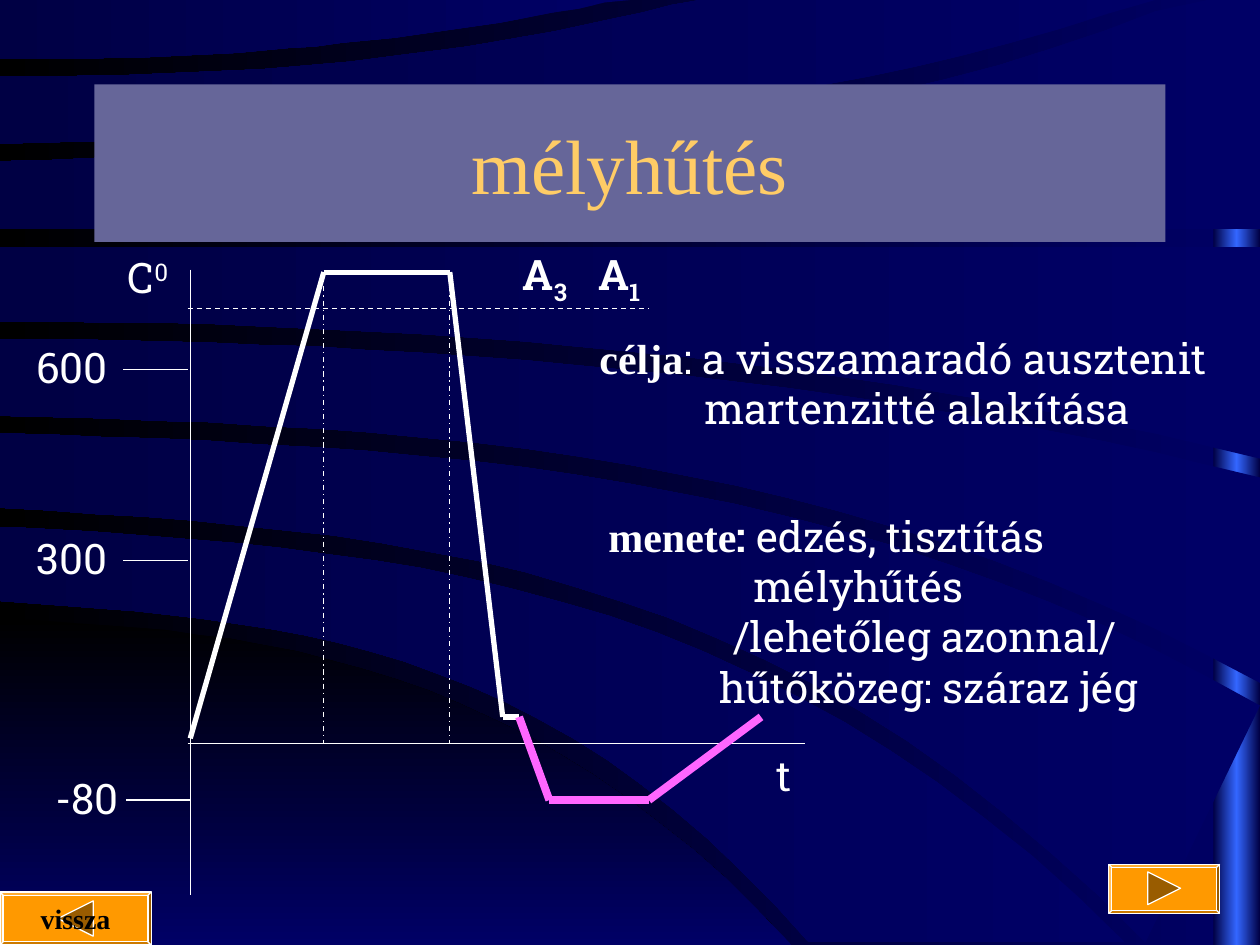
from copy import deepcopy
from dataclasses import dataclass, field

from lxml.etree import SubElement
from pptx import Presentation
from pptx.dml.color import RGBColor
from pptx.enum.dml import MSO_LINE as Dash
from pptx.enum.shapes import MSO_CONNECTOR as Link, MSO_SHAPE as Form
from pptx.enum.text import MSO_ANCHOR as Anchor, PP_ALIGN as Align
from pptx.oxml.ns import qn
from pptx.util import Inches, Pt

NAVY = RGBColor(0x00, 0x00, 0x66)
DEEP = RGBColor(0x00, 0x00, 0x44)
BLACK = RGBColor(0x00, 0x00, 0x00)
AZURE = RGBColor(0x33, 0x66, 0xFF)
SLATE = RGBColor(0x66, 0x66, 0x99)
GOLD = RGBColor(0xFF, 0xCC, 0x66)
WHITE = RGBColor(0xFF, 0xFF, 0xFF)
PINK = RGBColor(0xFF, 0x66, 0xFF)
AMBER = RGBColor(0xFF, 0x99, 0x00)
BROWN = RGBColor(0x99, 0x5C, 0x00)

# The slide is a grid of 1000 columns by 750 rows of square cells.
COLS, ROWS = 1000, 750
CELL = Inches(10) // COLS
STEPS = 24

SLAB = {"name": "Roboto Slab", "size": Pt(24), "bold": False}
STRONG = SLAB | {"bold": True}
TIMES = {"name": "Times New Roman", "size": Pt(24), "bold": True}
HEAD = TIMES | {"size": Pt(44), "bold": False}
SMALL = TIMES | {"size": Pt(16)}

Point = tuple[int, int]
Box = tuple[int, int, int, int]


@dataclass
class Run:
    text: str
    font: dict = field(default_factory=lambda: SLAB)
    color: RGBColor = WHITE
    shift: int = 0  # thousandths of a percent above the baseline


@dataclass
class Line:
    runs: list[Run]
    indent: int = 0


@dataclass
class Note:
    box: Box
    lines: list[Line]
    align: Align = Align.CENTER
    anchor: Anchor = Anchor.MIDDLE
    wrap: bool = False


@dataclass
class Trace:
    points: list[Point]
    width: float = 0.75
    color: RGBColor = WHITE
    dash: Dash | None = None


@dataclass
class Edge:
    """Cubic curve from column 0 to end, given by four evenly spaced rows."""
    end: int
    rows: tuple[int, ...]

    def trace(self) -> list[Point]:
        a, b, c, d = self.rows
        points = []
        for step in range(STEPS + 1):
            t = 3 * step / STEPS
            row = (a + (b - a) * t + (c - 2 * b + a) * t * (t - 1) / 2
                   + (d - 3 * c + 3 * b - a) * t * (t - 1) * (t - 2) / 6)
            col = self.end * step / STEPS
            points.append((round(col), round(min(max(row, 0), ROWS))))
        return points


def flat(end: int, row: int) -> Edge:
    return Edge(end, (row,) * 4)


BLOB = (Edge(628, (491, 512, 584, 750)), flat(628, ROWS))
BANDS = [
    (Edge(893, (418, 445, 534, 748)), Edge(642, (477, 499, 571, 748))),
    (Edge(COLS, (344, 362, 421, 560)), Edge(909, (403, 431, 523, 748))),
    (Edge(COLS, (269, 280, 314, 379)), Edge(COLS, (330, 347, 406, 542))),
    (flat(COLS, 196), Edge(COLS, (255, 265, 299, 364))),
    (Edge(COLS, (128, 118, 82, -28)), flat(COLS, 182)),
    (Edge(556, (61, 56, 37, -2)), Edge(917, (114, 105, 75, -2))),
    (flat(501, 0), Edge(501, (47, 43, 27, -2))),
]

# Diagram: the time axis, the holding time and the temperature levels.
LEFT, BASE, HOT, COLD, ROOM = 151, 590, 216, 635, 569
START, STOP, DIP, HOLD = 257, 357, 412, 515
TRACES = [
    Trace([(LEFT, 214), (LEFT, 710)]),
    Trace([(149, BASE), (639, BASE)]),
    Trace([(149, 245), (HOLD, 245)], dash=Dash.DASH),
    *[Trace([(98, row), (149, row)]) for row in (293, 445)],
    Trace([(100, COLD), (LEFT, COLD)]),
    *[Trace([(col, HOT), (col, BASE)], dash=Dash.DASH_DOT) for col in (START, STOP)],
    Trace([(LEFT, 586), (START, HOT), (STOP, HOT), (399, ROOM), (DIP, ROOM)], 3),
    Trace([(DIP, ROOM), (436, COLD), (HOLD, COLD), (604, ROOM)], 4.5, PINK),
]

BACK, NEXT = (0, 708, 120, 42), (880, 686, 88, 39)
NOTES = [
    *[Note((col, 192, 57, 56), [Line([Run("A", STRONG), Run(sub, STRONG, shift=-25000)])])
      for col, sub in ((404, "3"), (463, "1"))],
    *[Note((col, row, wide, 50), [Line([Run(text)])]) for col, row, wide, text in (
        (16, 266, 82, "600"), (16, 418, 82, "300"), (32, 608, 74, "-80"), (606, BASE, 32, "t"))],
    Note((85, 195, 65, 50), [Line([Run("C"), Run("0", shift=30000)])]),
    Note((473, 400, 473, 170), [
        Line([Run("menete", TIMES), Run(":", STRONG), Run(" edzés, tisztítás")]),
        Line([Run("mélyhűtés")], 115),
        Line([Run("/lehetőleg azonnal/")], 99),
        Line([Run("hűtőközeg: száraz jég")], 88)], Align.LEFT, Anchor.TOP, True),
    Note((466, 259, 524, 90), [
        Line([Run("célja", TIMES), Run(": a visszamaradó ausztenit")]),
        Line([Run("martenzitté alakítása")], 83)], Align.LEFT, Anchor.TOP, True),
    Note(BACK, [Line([Run("vissza", SMALL, BLACK)])]),
]


def scale(box: Box) -> list[int]:
    return [CELL * part for part in box]


def blend(fill, first: RGBColor, last: RGBColor, angle: int = 180) -> None:
    """Two-stop gradient; the angle runs counter-clockwise."""
    fill.gradient()
    fill.gradient_angle = angle
    for stop, color in zip(fill.gradient_stops, (first, last)):
        stop.color.rgb = color


def paint(shape, color: RGBColor, edge: RGBColor | None = None) -> None:
    shape.shadow.inherit = False
    shape.fill.solid()
    shape.fill.fore_color.rgb = color
    if edge is None:
        shape.line.fill.background()
    else:
        shape.line.color.rgb = edge
        shape.line.width = Pt(0.75)


def draw_form(slide, form: Form, box: Box, color: RGBColor, edge: RGBColor | None = None):
    shape = slide.shapes.add_shape(form, *scale(box))
    paint(shape, color, edge)
    return shape


def draw_poly(slide, points: list[Point], color: RGBColor, edge: RGBColor | None = None):
    pen = slide.shapes.build_freeform(*points[0], scale=CELL)
    pen.add_line_segments(points[1:], close=True)
    shape = pen.convert_to_shape()
    paint(shape, color, edge)
    return shape


def draw_band(slide, band: tuple[Edge, Edge], *colors, angle: int = 180) -> None:
    top, low = band
    shape = draw_poly(slide, top.trace() + low.trace()[::-1], NAVY)
    blend(shape.fill, *colors, angle)


def draw_bar(slide) -> None:
    """Strip on the right edge, brightest along its middle."""
    bar = draw_form(slide, Form.RECTANGLE, (963, 0, 37, ROWS), DEEP)
    blend(bar.fill, DEEP, AZURE)
    stops = bar._element.find(".//" + qn("a:gsLst"))
    stops[1].set("pos", "50000")
    end = deepcopy(stops[0])
    end.set("pos", "100000")
    stops.append(end)


def draw_trace(slide, trace: Trace) -> None:
    for tail, tip in zip(trace.points, trace.points[1:]):
        link = slide.shapes.add_connector(Link.STRAIGHT, *scale(tail + tip))
        SubElement(link._element.spPr, qn("a:effectLst"))
        link.line.color.rgb = trace.color
        link.line.width = Pt(trace.width)
        if trace.dash is not None:
            link.line.dash_style = trace.dash


def write(frame, note: Note) -> None:
    frame.word_wrap = note.wrap
    frame.vertical_anchor = note.anchor
    for num, line in enumerate(note.lines):
        para = frame.add_paragraph() if num else frame.paragraphs[0]
        para.alignment = note.align
        if line.indent:
            para._p.get_or_add_pPr().set("marL", str(CELL * line.indent))
        for part in line.runs:
            run = para.add_run()
            run.text = part.text
            for key, value in part.font.items():
                setattr(run.font, key, value)
            run.font.color.rgb = part.color
            if part.shift:
                run.font._element.set("baseline", str(part.shift))


def draw_button(slide, box: Box, way: int) -> None:
    """Bevelled button whose arrow points right (1) or left (-1)."""
    left, top, wide, high = box
    frame = draw_form(slide, Form.BEVEL, box, AMBER, WHITE)
    frame.adjustments[0] = 0.06
    col, row, half = left + wide // 2, top + high // 2, high // 3
    arrow = [(col - way * half, row - half), (col + way * half, row),
             (col - way * half, row + half)]
    draw_poly(slide, arrow, BROWN, WHITE)


def main() -> None:
    deck = Presentation()
    deck.slide_width, deck.slide_height = CELL * COLS, CELL * ROWS
    slide = deck.slides.add_slide(deck.slide_layouts[6])
    blend(slide.background.fill, NAVY, BLACK)
    draw_bar(slide)
    draw_band(slide, BLOB, BLACK, NAVY, angle=270)
    for band in BANDS:
        draw_band(slide, band, NAVY, DEEP)
    title = Note((75, 67, 850, 125), [Line([Run("mélyhűtés", HEAD, GOLD)])], wrap=True)
    write(draw_form(slide, Form.RECTANGLE, title.box, SLATE).text_frame, title)
    for trace in TRACES:
        draw_trace(slide, trace)
    for box, way in ((NEXT, 1), (BACK, -1)):
        draw_button(slide, box, way)
    for note in NOTES:
        write(slide.shapes.add_textbox(*scale(note.box)).text_frame, note)
    deck.save("out.pptx")


if __name__ == "__main__":
    main()
